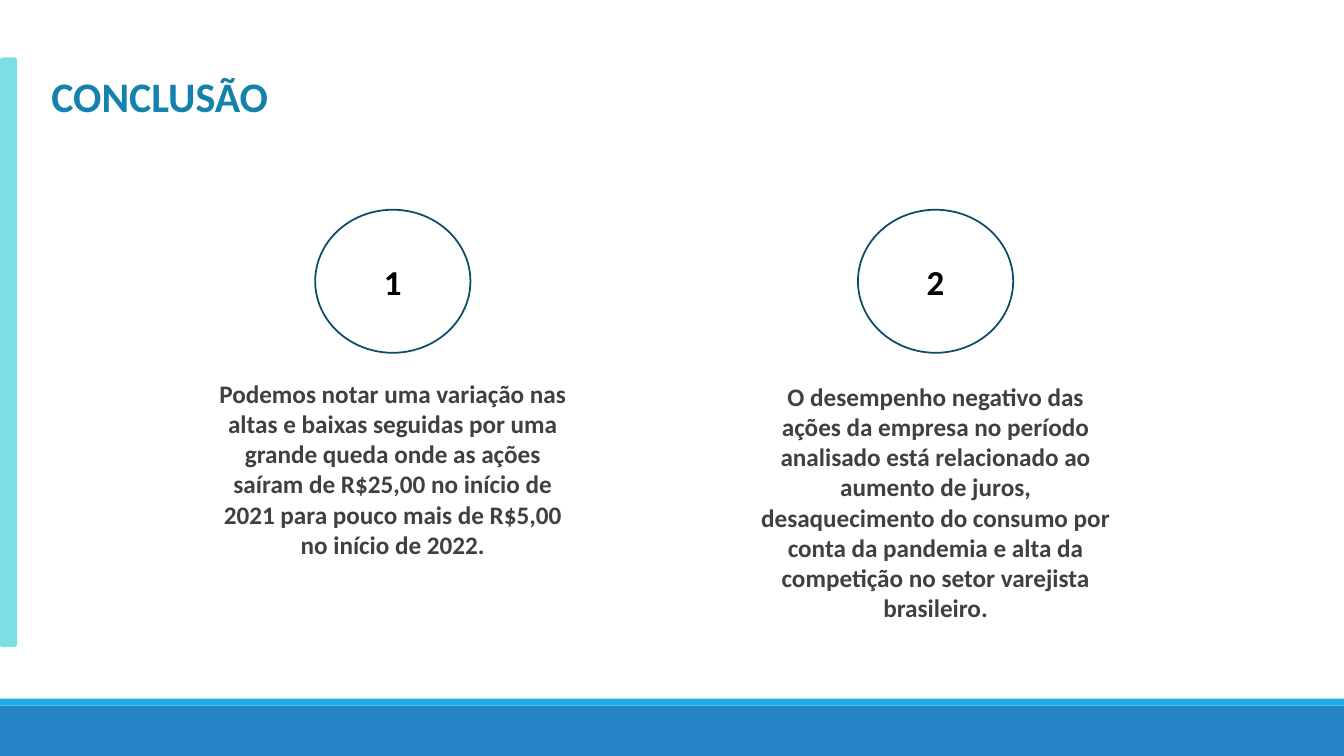
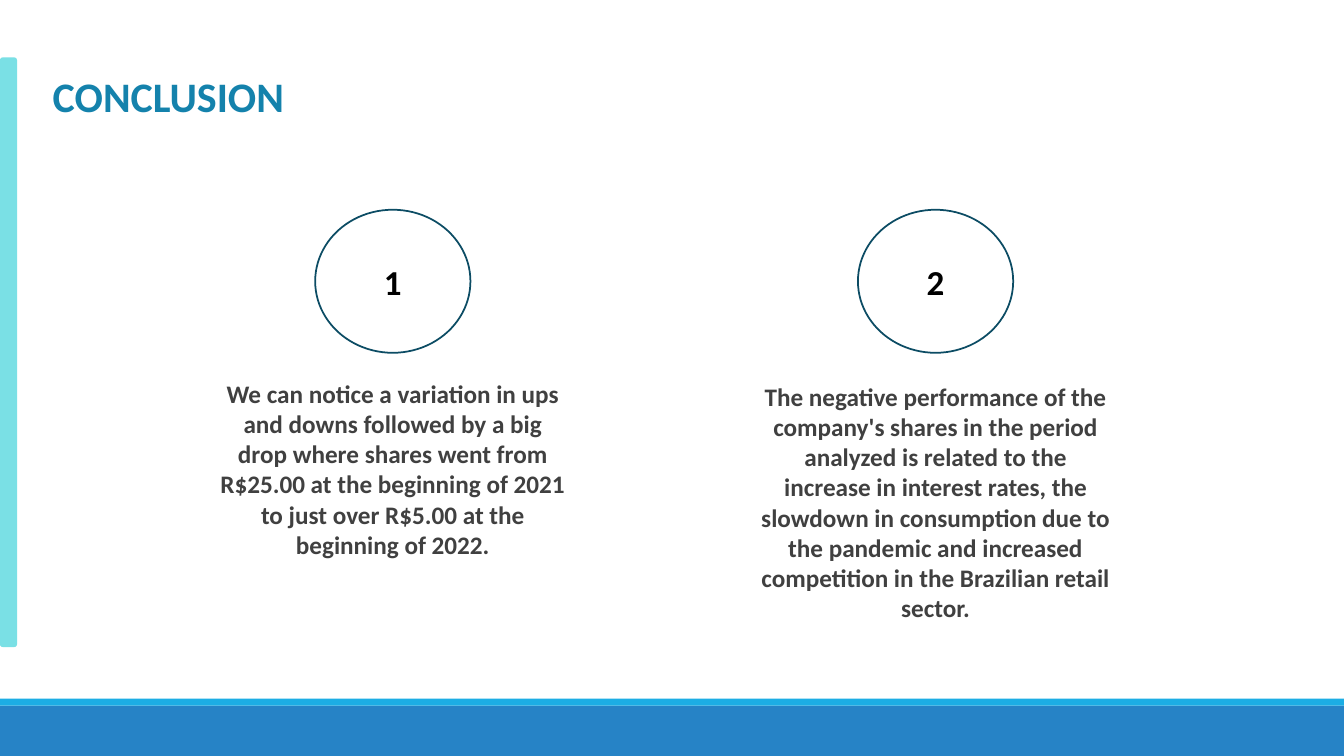
from pptx import Presentation
from pptx.dml.color import RGBColor
from pptx.enum.shapes import MSO_SHAPE
from pptx.enum.text import MSO_ANCHOR, MSO_AUTO_SIZE, PP_ALIGN
from pptx.util import Pt

RECT, ROUND, OVAL = MSO_SHAPE.RECTANGLE, MSO_SHAPE.ROUNDED_RECTANGLE, MSO_SHAPE.OVAL
TOP, MIDDLE = MSO_ANCHOR.TOP, MSO_ANCHOR.MIDDLE
CENTER = PP_ALIGN.CENTER
NO_FIT = MSO_AUTO_SIZE.NONE

BLUE = RGBColor(0x26, 0x83, 0xC6)
SKY = RGBColor(0x1C, 0xAD, 0xE4)
AQUA = RGBColor(0x7A, 0xE0, 0xE5)
TEAL = RGBColor(0x14, 0x82, 0xAC)
NAVY = RGBColor(0x0C, 0x4C, 0x64)
GREY = RGBColor(0x40, 0x40, 0x40)
BLACK = RGBColor(0, 0, 0)
WHITE = RGBColor(0xFF, 0xFF, 0xFF)

FONT = "Calibri"
WIDTH, HEIGHT = 960, 540
TITLE_ONLY = 5
FIRST_CENTER, COLUMN_PITCH = 280.6, 387.7
CIRCLE_W, CIRCLE_H, CIRCLE_TOP = 110.9, 102.2, 149.8
TEXT_W, TEXT_TOPS = 265.7, (266.4, 268.6)


def write(tf, text, size=18, color=GREY, anchor=TOP, wrap=True):
    """Fill a text frame with one bold, centred paragraph."""
    tf.word_wrap = wrap
    tf.auto_size = NO_FIT
    tf.vertical_anchor = anchor
    p = tf.paragraphs[0]
    p.alignment = CENTER
    r = p.add_run()
    r.text = text
    r.font.name, r.font.size, r.font.bold = FONT, Pt(size), True
    r.font.color.rgb = color


class Deck:
    """Holds the shared style and the current slide."""

    def __init__(self):
        """Start an empty widescreen presentation."""
        self.prs = Presentation()
        self.prs.slide_width, self.prs.slide_height = Pt(WIDTH), Pt(HEIGHT)
        self.s = None

    def slide(self, title, title_width):
        """Add a slide with the footer bands, side bar and title."""
        self.s = self.prs.slides.add_slide(self.prs.slide_layouts[TITLE_ONLY])
        self.shape(RECT, 0, 504, WIDTH, 36, BLUE)
        self.shape(RECT, 0, 499, WIDTH, 5, SKY)
        self.shape(ROUND, 0, 41, 12.2, 421.2, AQUA)
        sp = self.s.shapes.title
        sp.left, sp.top = Pt(27.4), Pt(46.8)
        sp.width, sp.height = Pt(title_width), Pt(43.9)
        write(sp.text_frame, title, size=30, color=TEAL, wrap=False)

    def shape(self, kind, x, y, w, h, fill, line=None):
        """Add a flat preset shape, outlined only if a line colour is given."""
        sp = self.s.shapes.add_shape(kind, Pt(x), Pt(y), Pt(w), Pt(h))
        sp.shadow.inherit = False
        sp.fill.solid()
        sp.fill.fore_color.rgb = fill
        if line is None:
            sp.line.fill.background()
        else:
            sp.line.color.rgb, sp.line.width = line, Pt(1.25)
        return sp

    def text(self, x, y, w, h, text):
        """Add a wrapped text box."""
        sp = self.s.shapes.add_textbox(Pt(x), Pt(y), Pt(w), Pt(h))
        write(sp.text_frame, text)

    def finding(self, index, text, height):
        """Add a numbered circle with its conclusion below."""
        center = FIRST_CENTER + index * COLUMN_PITCH
        circle = self.shape(OVAL, center - CIRCLE_W / 2, CIRCLE_TOP,
                            CIRCLE_W, CIRCLE_H, WHITE, line=NAVY)
        write(circle.text_frame, str(index + 1), size=25, color=BLACK, anchor=MIDDLE)
        self.text(center - TEXT_W / 2, TEXT_TOPS[index], TEXT_W, height, text)


SLIDES = [
    ("CONCLUSÃO", 173.5, [
        ("Podemos notar uma variação nas altas e baixas seguidas por uma grande "
         "queda onde as ações saíram de R$25,00 no início de 2021 para pouco mais "
         "de R$5,00 no início de 2022.", 159.8),
        ("O desempenho negativo das ações da empresa no período analisado está "
         "relacionado ao aumento de juros, desaquecimento do consumo por conta da "
         "pandemia e alta da competição no setor varejista brasileiro.", 181.4),
    ]),
    ("CONCLUSION", 185.8, [
        ("We can notice a variation in ups and downs followed by a big drop where "
         "shares went from R$25.00 at the beginning of 2021 to just over R$5.00 at "
         "the beginning of 2022.", 138.2),
        ("The negative performance of the company's shares in the period analyzed "
         "is related to the increase in interest rates, the slowdown in consumption "
         "due to the pandemic and increased competition in the Brazilian retail "
         "sector.", 181.4),
    ]),
]

deck = Deck()
for title, title_width, findings in SLIDES:
    deck.slide(title, title_width)
    for index, (text, height) in enumerate(findings):
        deck.finding(index, text, height)
deck.prs.save("out.pptx")
